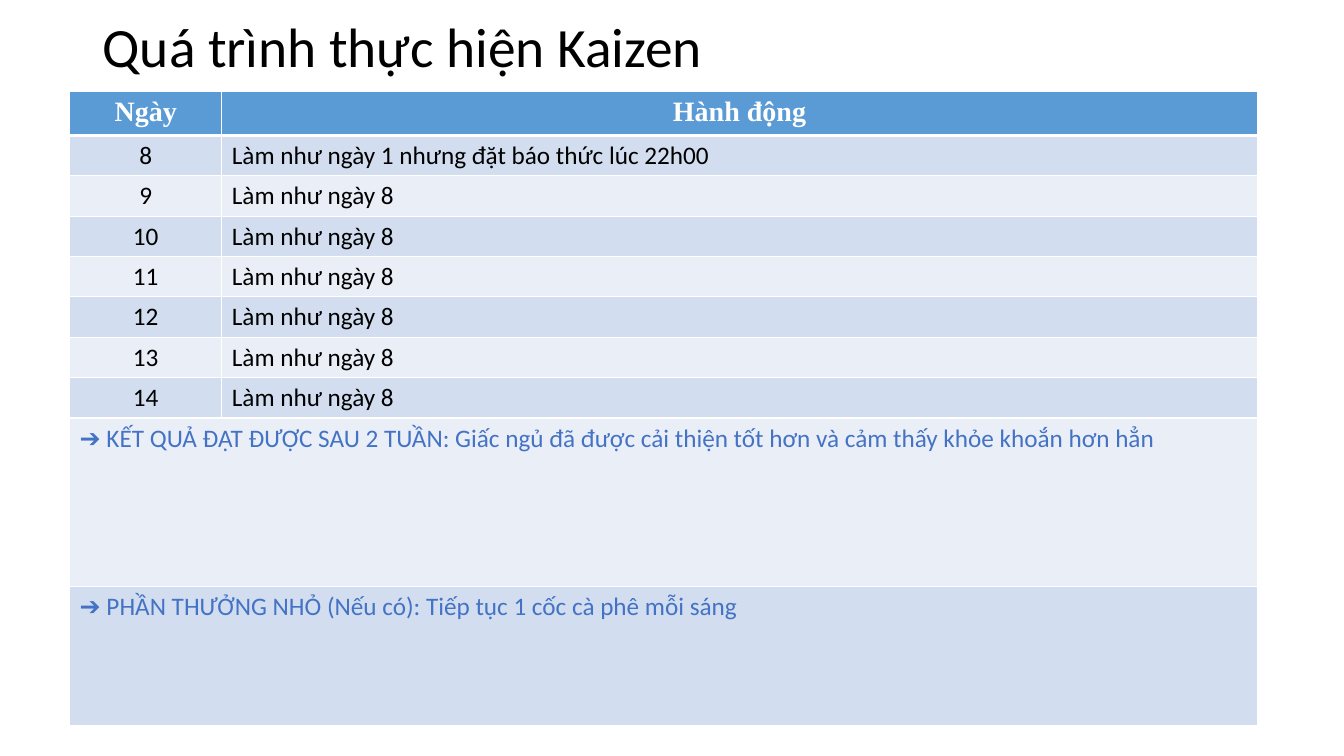
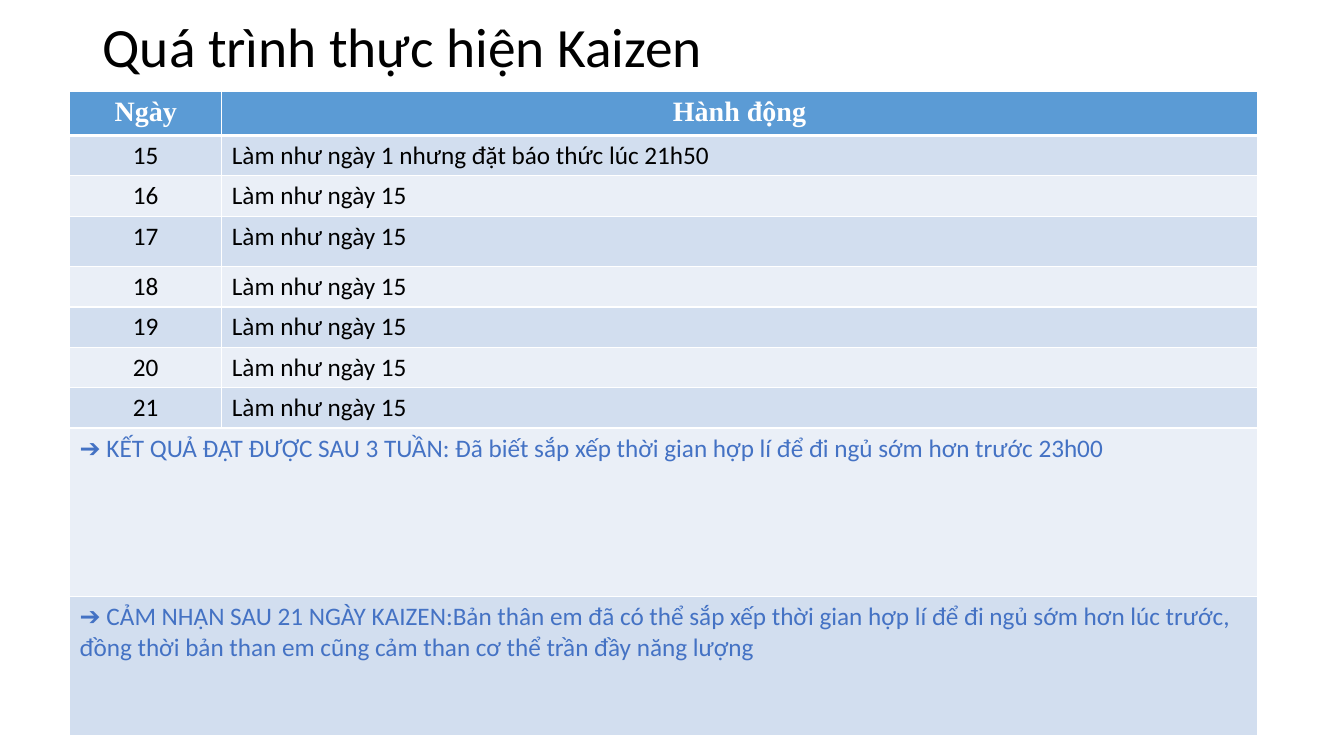
from lxml import etree
from pptx import Presentation
from pptx.dml.color import RGBColor
from pptx.enum.text import MSO_ANCHOR, PP_ALIGN
from pptx.oxml.ns import qn
from pptx.util import Inches, Pt

CENTER, LEFT = PP_ALIGN.CENTER, PP_ALIGN.LEFT
MIDDLE = MSO_ANCHOR.MIDDLE

WHITE, BLACK = "FFFFFF", "000000"
HEADER_FILL = "5B9BD5"
BAND_FILLS = ("D2DEEF", "EAEFF7")
TITLE_FORMAT = {"size": Pt(39.6), "name": "Calibri", "color": BLACK}
HEADER_FORMAT = {"size": Pt(20), "name": "Times New Roman", "bold": True, "color": WHITE}
BODY_FORMAT = {"size": Pt(18), "name": "Calibri", "bold": False, "color": BLACK}
NOTE_FORMAT = {**BODY_FORMAT, "color": "4472C4"}

TITLE = "Quá trình thực hiện Kaizen"
HEADINGS = ("Ngày", "Hành động")
TITLE_BOX = (0.92, 0.21, 11.5, 0.56)
TABLE_ORIGIN = (0.69, 0.91)
COLUMN_WIDTHS = (1.51, 10.27)
HEADER_HEIGHT, DAY_HEIGHT = 0.42, 0.4
NOTE_HEIGHTS = (1.67, 1.38)
DAYS_PER_WEEK = 7
THIN, THICK = 1, 3

WEEKS = [
    {
        "first_day": 8,
        "alarm": "22h00",
        "tall_days": {},
        "notes": (
            "➔ KẾT QUẢ ĐẠT ĐƯỢC SAU 2 TUẦN: Giấc ngủ đã được cải thiện tốt hơn "
            "và cảm thấy khỏe khoắn hơn hẳn",
            "➔ PHẦN THƯỞNG NHỎ (Nếu có): Tiếp tục 1 cốc cà phê mỗi sáng",
        ),
    },
    {
        "first_day": 15,
        "alarm": "21h50",
        "tall_days": {17: 0.5},
        "notes": (
            "➔ KẾT QUẢ ĐẠT ĐƯỢC SAU 3 TUẦN: Đã biết sắp xếp thời gian hợp lí "
            "để đi ngủ sớm hơn trước 23h00",
            "➔ CẢM NHẬN SAU 21 NGÀY KAIZEN:Bản thân em đã có thể sắp xếp thời gian hợp lí "
            "để đi ngủ sớm hơn lúc trước, đồng thời bản than em cũng cảm than cơ thể "
            "trần đầy năng lượng",
        ),
    },
]


def rgb(color):
    return RGBColor.from_string(color)


def write(frame, text, text_format, align=LEFT):
    para = frame.paragraphs[0]
    para.alignment = align
    span = para.add_run()
    span.text = text
    for name, value in text_format.items():
        if name == "color":
            span.font.color.rgb = rgb(value)
        else:
            setattr(span.font, name, value)
    return para


def paint_cell(cell, fill, top, bottom):
    """Give a cell white borders and a solid fill; borders must come first in the XML."""
    properties = cell._tc.get_or_add_tcPr()
    for side, width in (("L", THIN), ("R", THIN), ("T", top), ("B", bottom)):
        line = etree.SubElement(properties, qn(f"a:ln{side}"), w=str(Pt(width)))
        solid = etree.SubElement(line, qn("a:solidFill"))
        etree.SubElement(solid, qn("a:srgbClr"), val=WHITE)
    cell.fill.solid()
    cell.fill.fore_color.rgb = rgb(fill)


def add_title(page, box):
    frame = page.shapes.add_textbox(*map(Inches, box)).text_frame
    frame.word_wrap = True
    frame.vertical_anchor = MIDDLE
    write(frame, TITLE, TITLE_FORMAT).line_spacing = 0.9


def add_week_table(page, origin, first_day, alarm, tall_days, notes):
    days = range(first_day, first_day + DAYS_PER_WEEK)
    heights = [HEADER_HEIGHT, *(tall_days.get(day, DAY_HEIGHT) for day in days), *NOTE_HEIGHTS]
    table = page.shapes.add_table(
        len(heights), len(COLUMN_WIDTHS), *map(Inches, origin),
        Inches(sum(COLUMN_WIDTHS)), Inches(sum(heights)),
    ).table
    for column, width in zip(table.columns, COLUMN_WIDTHS):
        column.width = Inches(width)

    for index, (row, height) in enumerate(zip(table.rows, heights)):
        row.height = Inches(height)
        fill = BAND_FILLS[(index - 1) % 2] if index else HEADER_FILL
        for cell in row.cells:
            paint_cell(cell, fill, THICK if index == 1 else THIN, THIN if index else THICK)

    for column, heading in enumerate(HEADINGS):
        write(table.cell(0, column).text_frame, heading, HEADER_FORMAT, CENTER)
    for row, day in enumerate(days, start=1):
        if day == first_day:
            action = f"Làm như ngày 1 nhưng đặt báo thức lúc {alarm}"
        else:
            action = f"Làm như ngày {first_day}"
        write(table.cell(row, 0).text_frame, str(day), BODY_FORMAT, CENTER)
        write(table.cell(row, 1).text_frame, action, BODY_FORMAT)
    for row, note in enumerate(notes, start=DAYS_PER_WEEK + 1):
        table.cell(row, 0).merge(table.cell(row, 1))
        write(table.cell(row, 0).text_frame, note, NOTE_FORMAT)


def main():
    deck = Presentation()
    deck.slide_width, deck.slide_height = Inches(13.33), Inches(7.5)
    for week in WEEKS:
        page = deck.slides.add_slide(deck.slide_layouts[6])
        add_title(page, TITLE_BOX)
        add_week_table(page, TABLE_ORIGIN, **week)
    deck.save("out.pptx")


if __name__ == "__main__":
    main()
